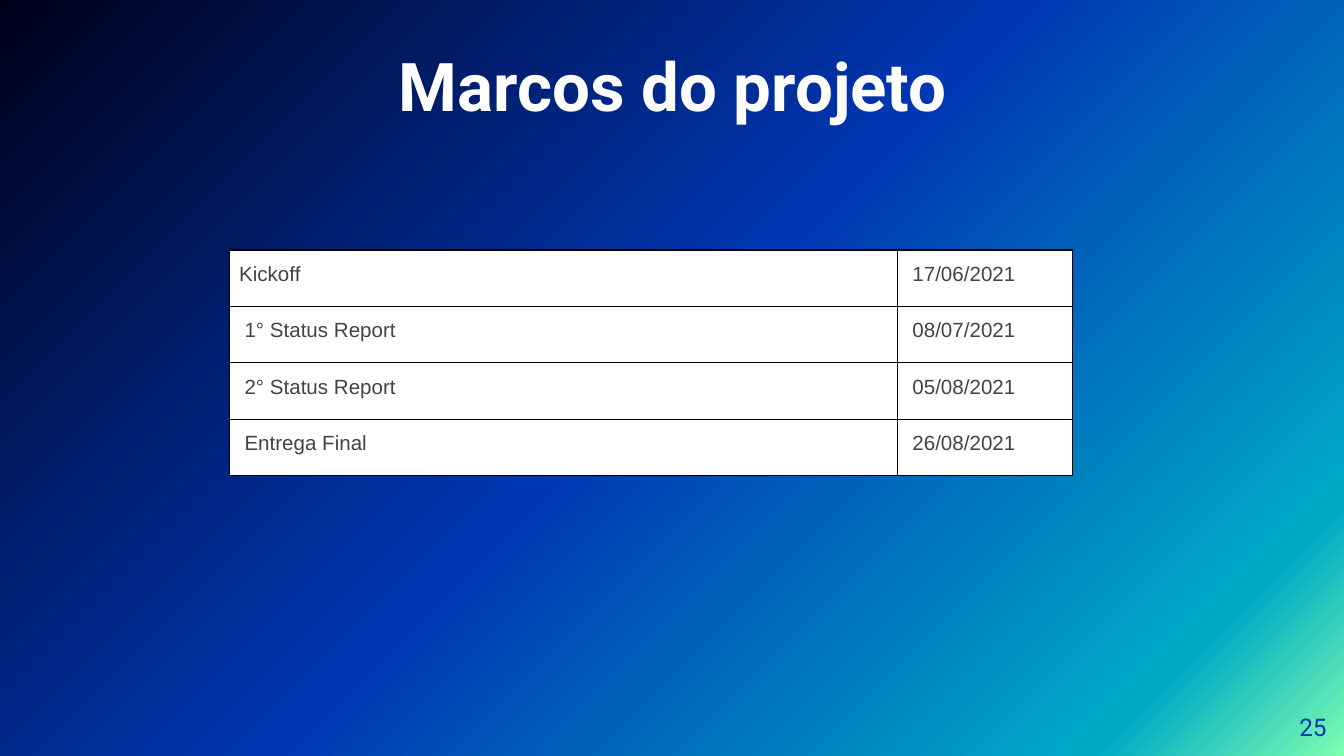
from dataclasses import dataclass

from lxml.etree import SubElement
from pptx import Presentation
from pptx.dml.color import RGBColor
from pptx.enum.text import MSO_ANCHOR, MSO_AUTO_SIZE, PP_ALIGN
from pptx.oxml.ns import qn
from pptx.slide import Slide
from pptx.table import _Cell
from pptx.text.text import TextFrame, _Paragraph
from pptx.util import Inches, Pt


@dataclass(frozen=True)
class TextStyle:
    font: str
    size: float
    color: str
    bold: bool = False


@dataclass(frozen=True)
class Theme:
    title: TextStyle = TextStyle("Roboto", 36, "FFFFFF", True)
    number: TextStyle = TextStyle("Roboto", 13, "0037B3")
    body: TextStyle = TextStyle("Arial", 11, "434343")
    cell_fill: str = "FFFFFF"
    border: str = "000000"
    border_width: float = 0.75
    gradient: tuple = ((0, "7DFFB1"), (12, "00AAC6"), (51, "0037B3"), (100, "00001A"))


@dataclass(frozen=True)
class Milestone:
    name: str
    date: str
    name_margin: float = 0.11


THEME = Theme()
COLUMN_WIDTHS = (1.81, 1.82, 1.34, 1.3)
ROW_HEIGHT = 0.42
CELL_MARGIN = 0.07
DATE_MARGIN = 0.11
MILESTONES = (
    Milestone("Kickoff", "17/06/2021", CELL_MARGIN),
    Milestone("1° Status Report", "08/07/2021"),
    Milestone("2° Status Report", "05/08/2021"),
    Milestone("Entrega Final", "26/08/2021"),
)


def add_span(para: _Paragraph, text: str, style: TextStyle) -> None:
    span = para.add_run()
    span.text = text
    span.font.name = style.font
    span.font.size = Pt(style.size)
    span.font.bold = style.bold
    span.font.color.rgb = RGBColor.from_string(style.color)


def fill_frame(frame: TextFrame, text: str, style: TextStyle,
               align: PP_ALIGN, anchor: MSO_ANCHOR) -> None:
    frame.word_wrap = True
    frame.auto_size = MSO_AUTO_SIZE.NONE
    frame.vertical_anchor = anchor
    frame.margin_left = frame.margin_right = 0
    frame.margin_top = frame.margin_bottom = 0
    para = frame.paragraphs[0]
    para.alignment = align
    add_span(para, text, style)


def paint_background(page: Slide) -> None:
    fill = page.background.fill
    fill.gradient()
    fill.gradient_angle = 135
    stops = page.element.find(".//" + qn("a:gsLst"))
    stops.clear()
    for position, color in THEME.gradient:
        stop = SubElement(stops, qn("a:gs"), pos=str(position * 1000))
        SubElement(stop, qn("a:srgbClr"), val=color)


def format_cell(cell: _Cell) -> None:
    properties = cell._tc.get_or_add_tcPr()
    for side in ("L", "R", "T", "B"):
        line = SubElement(properties, qn(f"a:ln{side}"), w=str(Pt(THEME.border_width)))
        paint = SubElement(line, qn("a:solidFill"))
        SubElement(paint, qn("a:srgbClr"), val=THEME.border)
    cell.fill.solid()
    cell.fill.fore_color.rgb = RGBColor.from_string(THEME.cell_fill)


def write_cell(cell: _Cell, text: str, left_margin: float) -> None:
    cell.margin_left = Inches(left_margin)
    cell.margin_right = cell.margin_top = cell.margin_bottom = Inches(CELL_MARGIN)
    para = cell.text_frame.paragraphs[0]
    para.alignment = PP_ALIGN.JUSTIFY
    para.line_spacing = 1.15
    add_span(para, text, THEME.body)


def add_milestones(page: Slide) -> None:
    table = page.shapes.add_table(
        len(MILESTONES), len(COLUMN_WIDTHS), Inches(1.71), Inches(1.86),
        Inches(sum(COLUMN_WIDTHS)), Inches(ROW_HEIGHT * len(MILESTONES))).table
    table.first_row = False
    table.horz_banding = False
    for column, width in zip(table.columns, COLUMN_WIDTHS):
        column.width = Inches(width)
    for cell in table.iter_cells():
        format_cell(cell)
    for index, milestone in enumerate(MILESTONES):
        table.rows[index].height = Inches(ROW_HEIGHT)
        name_cell = table.cell(index, 0)
        name_cell.merge(table.cell(index, 2))
        write_cell(name_cell, milestone.name, milestone.name_margin)
        write_cell(table.cell(index, 3), milestone.date, DATE_MARGIN)


def main() -> None:
    deck = Presentation()
    deck.slide_width = Inches(10)
    deck.slide_height = deck.slide_width * 9 // 16
    page = deck.slides.add_slide(deck.slide_layouts[5])
    paint_background(page)

    title = page.shapes.title
    title.left, title.top = Inches(1.71), Inches(0.2)
    title.width, title.height = Inches(6.59), Inches(0.73)
    fill_frame(title.text_frame, "Marcos do projeto", THEME.title,
               PP_ALIGN.CENTER, MSO_ANCHOR.BOTTOM)

    add_milestones(page)

    number_box = page.shapes.add_textbox(
        Inches(9.27), Inches(5.19), Inches(0.6), Inches(0.43))
    fill_frame(number_box.text_frame, "25", THEME.number,
               PP_ALIGN.RIGHT, MSO_ANCHOR.MIDDLE)
    deck.save("out.pptx")


if __name__ == "__main__":
    main()
